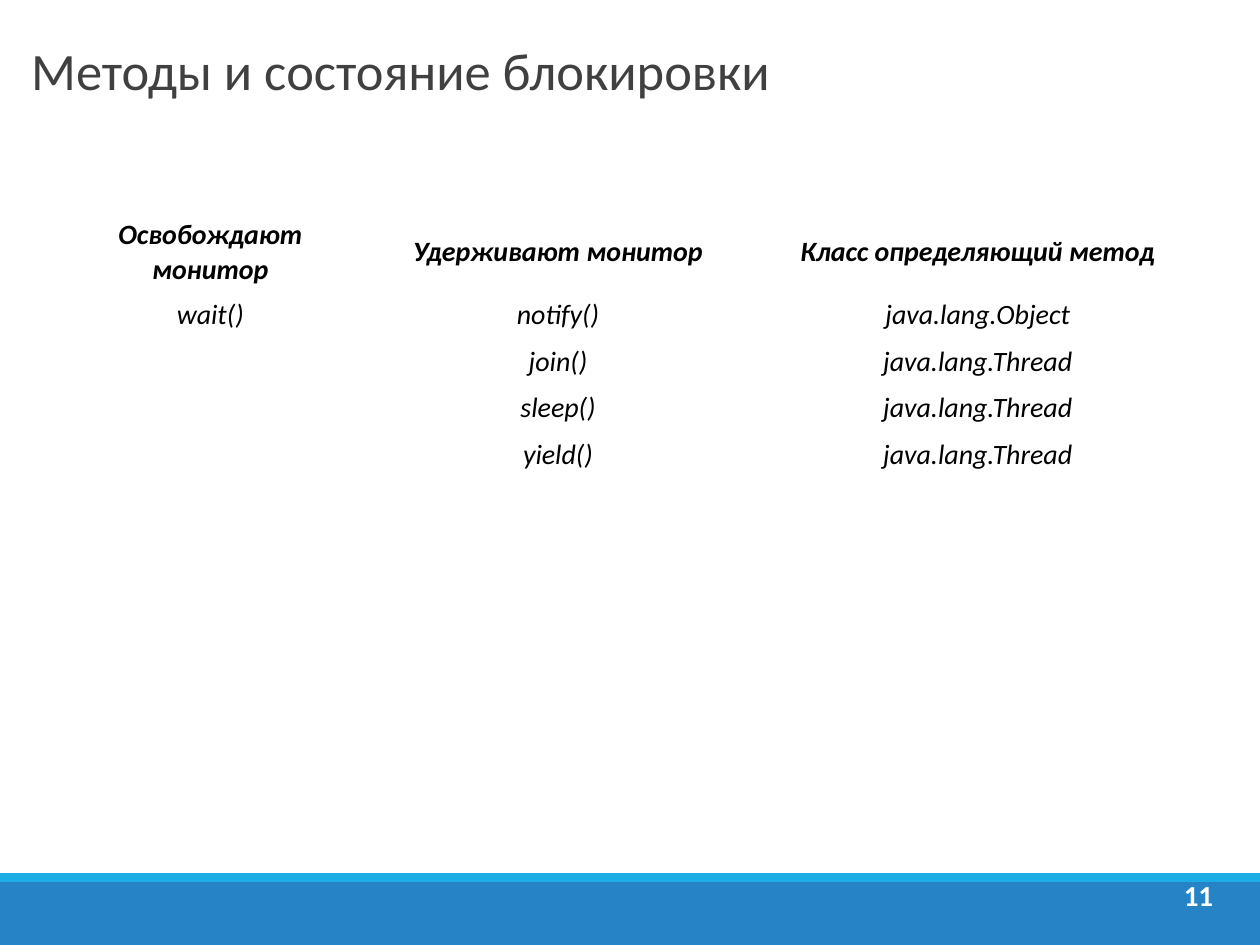
from dataclasses import dataclass

from lxml import etree
from pptx import Presentation
from pptx.dml.color import RGBColor
from pptx.enum.shapes import MSO_SHAPE
from pptx.enum.text import MSO_ANCHOR, PP_ALIGN
from pptx.oxml.ns import qn
from pptx.util import Cm, Pt

RECTANGLE = MSO_SHAPE.RECTANGLE
TOP, MIDDLE = MSO_ANCHOR.TOP, MSO_ANCHOR.MIDDLE
LEFT, CENTER = PP_ALIGN.LEFT, PP_ALIGN.CENTER


@dataclass(frozen=True)
class Theme:
    font: str = "Calibri"
    title_color: RGBColor = RGBColor(0x40, 0x40, 0x40)
    body_color: RGBColor = RGBColor(0, 0, 0)
    white: RGBColor = RGBColor(0xFF, 0xFF, 0xFF)
    band: RGBColor = RGBColor(0x26, 0x83, 0xC6)
    stripe: RGBColor = RGBColor(0x1C, 0xAD, 0xE4)
    title_size: float = 30
    body_size: float = 16
    number_size: float = 16.6


THEME = Theme()

METHODS = [
    ("Освобождают монитор", "Удерживают монитор", "Класс определяющий метод"),
    ("wait()", "notify()", "java.lang.Object"),
    ("", "join()", "java.lang.Thread"),
    ("", "sleep()", "java.lang.Thread"),
    ("", "yield()", "java.lang.Thread"),
]
COLUMN_WIDTHS = (5.94, 8.08, 8.84)
HEADER_HEIGHT, ROW_HEIGHT = 1.4, 0.94


def write(paragraph, text, size, color, align, **formats):
    paragraph.alignment = align
    if not text:
        # An empty cell keeps the row height of its neighbours.
        etree.SubElement(paragraph._p, qn("a:endParaRPr"), sz=str(round(size * 100)))
        return
    run = paragraph.add_run()
    run.text = text
    run.font.color.rgb = color
    for attribute, value in {"name": THEME.font, "size": Pt(size), **formats}.items():
        setattr(run.font, attribute, value)


def add_label(slide, box, text, size, color, align, anchor, **formats):
    frame = slide.shapes.add_textbox(*map(Cm, box)).text_frame
    frame.word_wrap = True
    frame.vertical_anchor = anchor
    paragraph = frame.paragraphs[0]
    paragraph.line_spacing = 0.9
    write(paragraph, text, size, color, align, **formats)


def add_footer(slide, box, number):
    """Draw a thin stripe over a wide band, with the slide number at the right."""
    left, top, width, height = box
    stripe_height = 0.18
    bars = (
        (top + stripe_height, height - stripe_height, THEME.band),
        (top, stripe_height, THEME.stripe),
    )
    for bar_top, bar_height, color in bars:
        bar = slide.shapes.add_shape(
            RECTANGLE, Cm(left), Cm(bar_top), Cm(width), Cm(bar_height))
        bar.shadow.inherit = False
        bar.fill.solid()
        bar.fill.fore_color.rgb = color
        bar.line.fill.background()
    add_label(slide, (left + width - 1.85, top + 0.05, 1.22, 1.02), number,
              THEME.number_size, THEME.white, CENTER, TOP, bold=True)


def add_methods_table(slide, box):
    table = slide.shapes.add_table(
        len(METHODS), len(COLUMN_WIDTHS), *map(Cm, box)).table
    table.first_row = table.horz_banding = False
    for column, width in zip(table.columns, COLUMN_WIDTHS):
        column.width = Cm(width)
    for index, (row, entries) in enumerate(zip(table.rows, METHODS)):
        is_header = index == 0
        row.height = Cm(HEADER_HEIGHT if is_header else ROW_HEIGHT)
        for cell, entry in zip(row.cells, entries):
            cell.fill.solid()
            cell.fill.fore_color.rgb = THEME.white
            cell.vertical_anchor = MIDDLE
            write(cell.text_frame.paragraphs[0], entry, THEME.body_size,
                  THEME.body_color, CENTER, bold=is_header, italic=True)


def main():
    presentation = Presentation()
    presentation.slide_width, presentation.slide_height = Cm(25.4), Cm(19.05)
    slide = presentation.slides.add_slide(presentation.slide_layouts[6])
    add_footer(slide, (0, 17.6, 25.4, 1.45), "11")
    add_label(slide, (0.38, 0.51, 23.72, 1.96), "Методы и состояние блокировки",
              THEME.title_size, THEME.title_color, LEFT, MIDDLE)
    table_height = HEADER_HEIGHT + ROW_HEIGHT * (len(METHODS) - 1)
    add_methods_table(slide, (1.27, 4.27, sum(COLUMN_WIDTHS), table_height))
    presentation.save("out.pptx")


if __name__ == "__main__":
    main()
